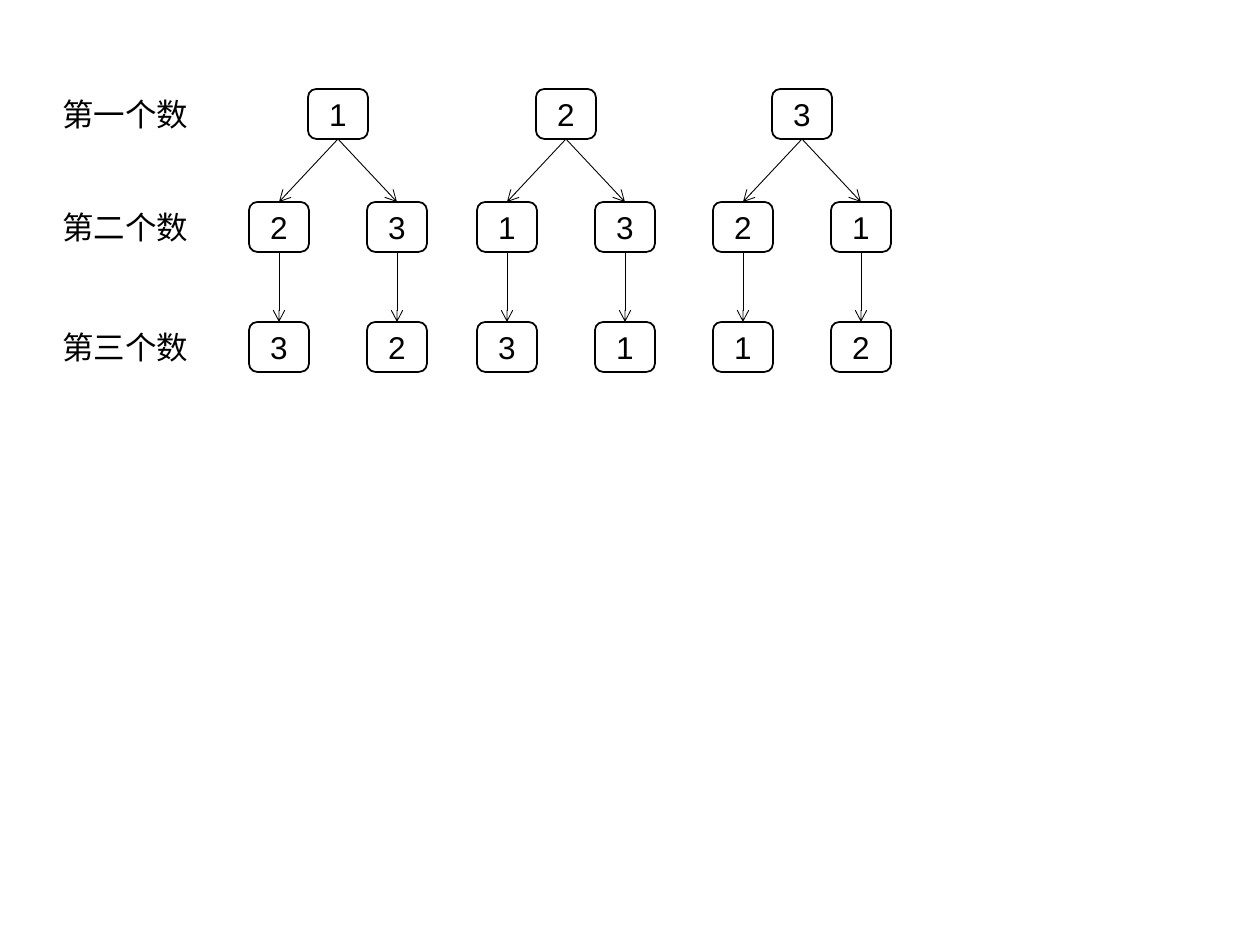
from typing import NamedTuple

from pptx import Presentation
from pptx.dml.color import RGBColor
from pptx.enum.shapes import MSO_CONNECTOR, MSO_SHAPE
from pptx.enum.text import MSO_ANCHOR, MSO_AUTO_SIZE, PP_ALIGN
from pptx.oxml.ns import qn
from pptx.util import Emu, Pt
from lxml.etree import SubElement

SCALE = 914400 / 126
BLACK = "000000"
BOX_W, BOX_H = 60, 50
SPREAD = 59
ROWS = (89, 202, 322)
LABELS = ("第一个数", "第二个数", "第三个数")


class Tree(NamedTuple):
    """A first number and the two orders of the others below it."""
    mid: int
    root: str
    paths: tuple[str, str]


TREES = (
    Tree(338, "1", ("23", "32")),
    Tree(566, "2", ("13", "31")),
    Tree(802, "3", ("21", "12")),
)


def px(size: float) -> Emu:
    """Turn pixels into EMU."""
    return Emu(round(size * SCALE))


def color(code: str) -> RGBColor:
    """Turn a hex string into a colour."""
    return RGBColor.from_string(code)


def write(frame, text: str, align: PP_ALIGN) -> None:
    """Put one styled line of text in a frame."""
    line = frame.paragraphs[0]
    line.text = text
    line.alignment = align
    line.font.size = Pt(18)
    line.font.name = "Arial"
    line.font.color.rgb = color(BLACK)


def add_box(shapes, mid: int, top: int, text: str) -> None:
    """Draw a rounded box centred on mid."""
    box = shapes.add_shape(MSO_SHAPE.ROUNDED_RECTANGLE, px(mid - BOX_W / 2),
                           px(top), px(BOX_W), px(BOX_H))
    box.shadow.inherit = False
    box.fill.background()
    box.line.color.rgb = color(BLACK)
    box.line.width = Pt(1)
    box.text_frame.vertical_anchor = MSO_ANCHOR.MIDDLE
    write(box.text_frame, text, PP_ALIGN.CENTER)


def add_arrow(shapes, start: int, end: int, row: int) -> None:
    """Draw an arrow from a box in a row to a box in the next row."""
    arrow = shapes.add_connector(MSO_CONNECTOR.STRAIGHT, px(start),
                                 px(ROWS[row] + BOX_H), px(end),
                                 px(ROWS[row + 1]))
    arrow.line.color.rgb = color(BLACK)
    arrow.line.width = Pt(0.5)
    SubElement(arrow.line._get_or_add_ln(), qn("a:tailEnd"), type="arrow")
    SubElement(arrow._element.spPr, qn("a:effectLst"))


def add_label(shapes, top: int, text: str) -> None:
    """Write the name of a row at the left."""
    label = shapes.add_textbox(px(50), px(top), px(152), px(BOX_H))
    label.text_frame.word_wrap = False
    label.text_frame.auto_size = MSO_AUTO_SIZE.SHAPE_TO_FIT_TEXT
    write(label.text_frame, text, PP_ALIGN.LEFT)


def add_tree(shapes, tree: Tree) -> None:
    """Draw a root with its two branches."""
    add_box(shapes, tree.mid, ROWS[0], tree.root)
    for side, path in zip((-SPREAD, SPREAD), tree.paths):
        mid = tree.mid + side
        for top, text in zip(ROWS[1:], path):
            add_box(shapes, mid, top, text)
        add_arrow(shapes, tree.mid, mid, 0)
        add_arrow(shapes, mid, mid, 1)


deck = Presentation()
deck.slide_width, deck.slide_height = px(1260), px(945)
shapes = deck.slides.add_slide(deck.slide_layouts[6]).shapes
for top, text in zip(ROWS, LABELS):
    add_label(shapes, top, text)
for tree in TREES:
    add_tree(shapes, tree)
deck.save("out.pptx")
